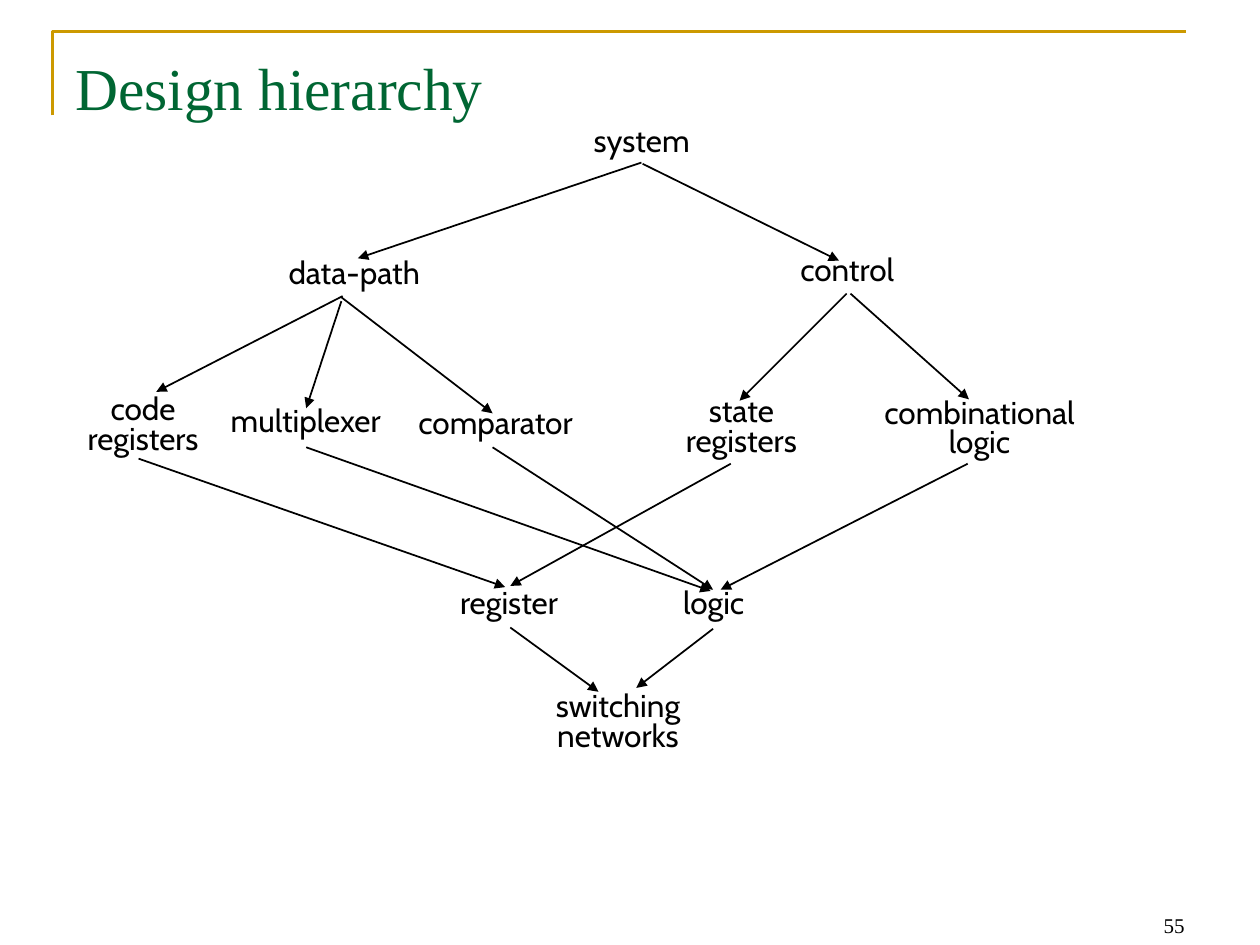
from lxml import etree
from pptx import Presentation
from pptx import util as u
from pptx.dml.color import RGBColor
from pptx.enum import shapes, text
from pptx.oxml import ns

GOLD = RGBColor(0xCC, 0x99, 0x00)
GREEN = RGBColor(0x00, 0x66, 0x33)
BLACK = RGBColor(0x00, 0x00, 0x00)
SERIF = "Times New Roman"
SANS = "Cabin"
LEFT, CENTER, RIGHT = text.PP_ALIGN.LEFT, text.PP_ALIGN.CENTER, text.PP_ALIGN.RIGHT
TOP, BOTTOM = text.MSO_ANCHOR.TOP, text.MSO_ANCHOR.BOTTOM

# Words, left, top and width of each label; two-line labels are centred
LABELS = [
    ("system", 337.7, 71.3, 80.6),
    ("data-path", 163.4, 146.9, 95.8),
    ("control", 455.8, 145.4, 79.9),
    ("code\nregisters", 45.4, 224.6, 72.7),
    ("multiplexer", 130.3, 231.8, 107.3),
    ("comparator", 237.6, 232.6, 109.4),
    ("state\nregisters", 363.6, 226.1, 120.2),
    ("combinational\nlogic", 474.5, 226.8, 170.6),
    ("register", 261.4, 335.5, 83.5),
    ("logic", 388.8, 335.5, 66.2),
    ("switching\nnetworks", 280.1, 394.6, 146.2),
]

# Start and end point of each arrow, level by level
ARROWS = [
    # system to its two parts
    (366.5, 92.9, 204.5, 147.6),
    (367.2, 93.6, 479.5, 149),
    # data-path to its parts
    (195.8, 169.2, 89.3, 223.9),
    (195.1, 172.1, 175, 233.3),
    (195.1, 169.9, 281.5, 236.2),
    # control to its parts
    (483.8, 167.8, 422.6, 229),
    (486, 167.8, 553.7, 228.2),
    # parts to register
    (79.2, 262.1, 288.7, 335.5),
    (417.6, 265, 291.6, 334.8),
    # parts to logic
    (175, 255.6, 406.1, 337.7),
    (281.5, 255.6, 407.5, 337),
    (553, 265, 411.8, 337),
    # register and logic to switching networks
    (291.6, 358.6, 342, 395.3),
    (407.5, 359.3, 363.6, 393.1),
]


def write(frame, words, font=SANS, size=18, color=BLACK, align=LEFT, spacing=None):
    """Fill a text frame with one formatted paragraph."""
    para = frame.paragraphs[0]
    para.text = words
    para.alignment = align
    if spacing:
        para.line_spacing = u.Pt(spacing)
    for span in para.runs:
        span.font.name = font
        span.font.size = u.Pt(size)
        span.font.color.rgb = color


class Painter:
    """Holds the style and the current page."""

    arrow_width = 1
    frame_width = 1.5
    label_spacing = 17

    def __init__(self, page):
        self.page = page

    def text_box(self, words, left, top, width, height,
                 inset=(7.2, 3.6), anchor=TOP, **style):
        box = self.page.shapes.add_textbox(
            u.Pt(left), u.Pt(top), u.Pt(width), u.Pt(height))
        frame = box.text_frame
        frame.word_wrap = True
        frame.vertical_anchor = anchor
        frame.margin_left = frame.margin_right = u.Pt(inset[0])
        frame.margin_top = frame.margin_bottom = u.Pt(inset[1])
        write(frame, words, **style)

    def label(self, words, left, top, width):
        two_lines = "\n" in words
        self.text_box(words, left, top, width, 43.2 if two_lines else 26.6,
                      inset=(1.5, 2.2), align=CENTER if two_lines else LEFT,
                      spacing=self.label_spacing)

    def arrow(self, x1, y1, x2, y2):
        line = self.page.shapes.add_connector(
            shapes.MSO_CONNECTOR.STRAIGHT, u.Pt(x1), u.Pt(y1), u.Pt(x2), u.Pt(y2))
        line.line.color.rgb = BLACK
        line.line.width = u.Pt(self.arrow_width)
        etree.SubElement(line.line._get_or_add_ln(), ns.qn("a:tailEnd"), type="triangle")
        etree.SubElement(line._element.spPr, ns.qn("a:effectLst"))

    def outline(self, start, *points):
        builder = self.page.shapes.build_freeform(*start, scale=u.Pt(1))
        builder.add_line_segments(points, close=False)
        shape = builder.convert_to_shape()
        shape.shadow.inherit = False
        shape.fill.background()
        shape.line.color.rgb = GOLD
        shape.line.width = u.Pt(self.frame_width)


def main():
    deck = Presentation()
    deck.slide_width, deck.slide_height = u.Pt(720), u.Pt(540)
    painter = Painter(deck.slides.add_slide(deck.slide_layouts[6]))

    # Corner rule, page number and title
    painter.outline((30, 66), (30, 18), (678, 18))
    painter.text_box("55", 516, 503.5, 168, 36, anchor=BOTTOM,
                     font=SERIF, size=12, align=RIGHT)
    painter.text_box("Design hierarchy", 36, 21.6, 648, 90, inset=(7.2, 7.5),
                     font=SERIF, size=34, color=GREEN)

    # Hierarchy
    for label in LABELS:
        painter.label(*label)
    for arrow in ARROWS:
        painter.arrow(*arrow)

    deck.save("out.pptx")


if __name__ == "__main__":
    main()
